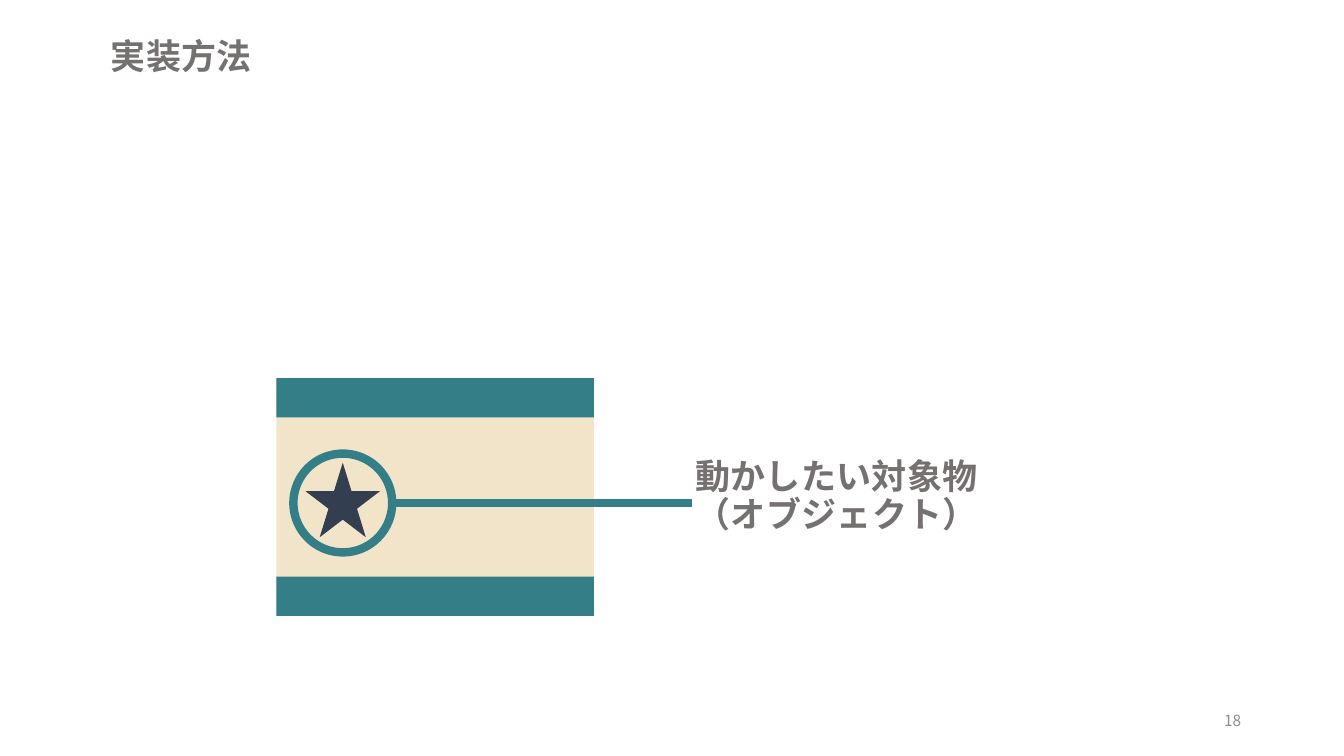
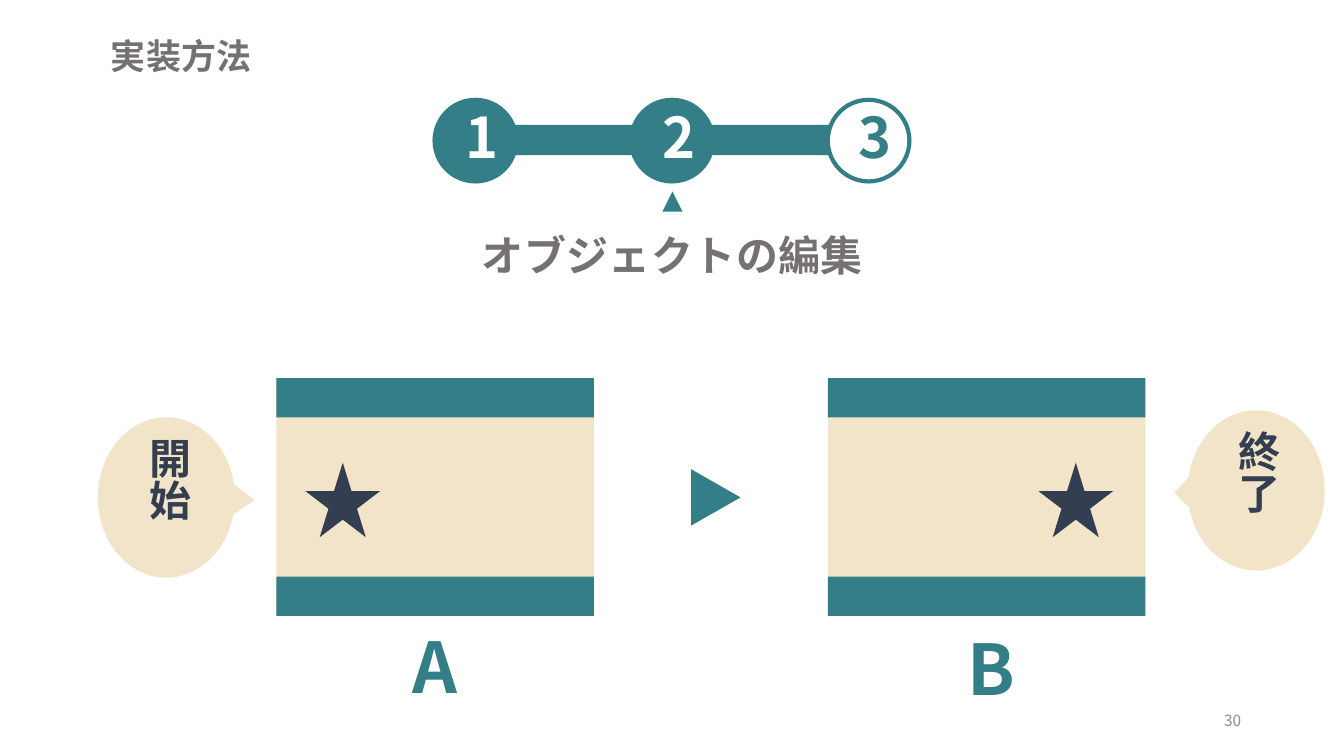
from lxml.etree import SubElement
from pptx import Presentation
from pptx.dml.color import RGBColor
from pptx.enum.shapes import MSO_CONNECTOR, MSO_SHAPE
from pptx.enum.text import MSO_ANCHOR, PP_ALIGN
from pptx.oxml.ns import qn
from pptx.util import Emu, Pt

PX = 9144  # 100 px to the inch
FONT = "Noto Sans CJK JP"
TEAL = RGBColor(0x34, 0x7F, 0x87)
SAND = RGBColor(0xF2, 0xE4, 0xC9)
NAVY = RGBColor(0x33, 0x3F, 0x50)
GREY = RGBColor(0x76, 0x71, 0x71)
PALE_GREY = RGBColor(0x8C, 0x8C, 0x8C)
WHITE = RGBColor(0xFF, 0xFF, 0xFF)

HEADING = {"alignment": PP_ALIGN.CENTER, "line_spacing": 0.9}
PAGE_NUMBER = {"alignment": PP_ALIGN.RIGHT, "space_after": Pt(6)}
FRAME_TOP = 375
FRAME_A_LEFT, FRAME_B_LEFT = 274, 821
FRAME_WIDTH, FRAME_HEIGHT, BAND_HEIGHT = 315, 236, 39
STAR_SIZE, STAR_TOP = 74, 84


def px(*lengths):
    return [Emu(length * PX) for length in lengths]


def set_all(target, values):
    for name, value in values.items():
        setattr(target, name, value)


def add_text(slide, box, text, size, color, bold=True, paragraph_format=HEADING, vertical=False):
    frame = slide.shapes.add_textbox(*px(*box)).text_frame
    set_all(frame, {"word_wrap": True, "vertical_anchor": MSO_ANCHOR.MIDDLE})
    if vertical:
        frame._txBody.bodyPr.set("vert", "eaVert")
    paragraph = frame.paragraphs[0]
    paragraph.text = text  # a newline becomes a line break
    set_all(paragraph, paragraph_format)
    for run in paragraph.runs:
        set_all(run.font, {"name": FONT, "size": Pt(size), "bold": bold})
        run.font.color.rgb = color
        properties = run._r.get_or_add_rPr()
        SubElement(properties, qn("a:ea")).set("typeface", FONT)
        if bold:
            properties.set("spc", "30")


def add_figure(slide, kind, box, fill=None, line=None, line_width=3, rotation=0):
    figure = slide.shapes.add_shape(kind, *px(*box))
    figure.shadow.inherit = False
    figure.rotation = rotation
    if fill is None:
        figure.fill.background()
    else:
        figure.fill.solid()
        figure.fill.fore_color.rgb = fill
    if line is None:
        figure.line.fill.background()
    else:
        figure.line.color.rgb = line
        figure.line.width = Pt(line_width)
    return figure


def add_base_slide(deck, number):
    slide = deck.slides.add_slide(deck.slide_layouts[6])
    add_text(slide, (941, 695, 300, 40), number, 11, PALE_GREY, False, PAGE_NUMBER)
    add_text(slide, (92, 35, 176, 46), "実装方法", 25, GREY)
    return slide


def add_star_frame(slide, left, top, star_left):
    add_figure(slide, MSO_SHAPE.RECTANGLE, (left, top, FRAME_WIDTH, FRAME_HEIGHT), SAND)
    for band_top in (top, top + FRAME_HEIGHT - BAND_HEIGHT):
        add_figure(slide, MSO_SHAPE.RECTANGLE, (left, band_top, FRAME_WIDTH, BAND_HEIGHT), TEAL)
    star = (left + star_left, top + STAR_TOP, STAR_SIZE, STAR_SIZE)
    add_figure(slide, MSO_SHAPE.STAR_5_POINT, star, NAVY)


def add_object_callout(slide, left, top):
    """Ring around the star, with a leader to its explanation."""
    ring_size, leader_end = 98, 395
    middle = top + ring_size // 2
    add_text(slide, (left + 376, top - 12, 326, 111), "動かしたい対象物\n（オブジェクト）", 25, GREY)
    add_figure(slide, MSO_SHAPE.OVAL, (left, top, ring_size, ring_size), line=TEAL, line_width=6)
    leader = slide.shapes.add_connector(
        MSO_CONNECTOR.STRAIGHT, *px(left + leader_end, middle, left + ring_size + 1, middle))
    leader.line.color.rgb = TEAL
    leader.line.width = Pt(6)
    SubElement(leader._element.spPr, qn("a:effectLst"))


def add_step_bar(slide, left, top, current, caption):
    steps, pitch, size = 3, 195, 81
    add_figure(slide, MSO_SHAPE.ROUNDED_RECTANGLE, (left + 41, top + 25, 389, 30), TEAL)
    for step in range(1, steps + 1):
        step_left = left + (step - 1) * pitch
        reached = step <= current
        add_figure(slide, MSO_SHAPE.OVAL, (step_left, top, size, size),
                   TEAL if reached else WHITE, TEAL)
        add_text(slide, (step_left + 21, top + 15, 39, 51), str(step), 40,
                 WHITE if reached else TEAL)
    # Pointer below the current step
    pointer_left = left + (current - 1) * pitch + 31
    add_figure(slide, MSO_SHAPE.ISOSCELES_TRIANGLE, (pointer_left, top + 91, 20, 20), TEAL)
    add_text(slide, (left + 1, top + 134, 470, 46), caption, 30, GREY)


def add_balloon(slide, left, top, text, tail_x):
    balloon = add_figure(slide, MSO_SHAPE.OVAL_CALLOUT, (left, top, 136, 159), SAND)
    balloon.adjustments[0] = tail_x
    balloon.adjustments[1] = 0.015
    add_text(slide, (left + 27, top + 10, 80, 131), text, 30, NAVY, vertical=True)


def build_object_slide(deck):
    slide = add_base_slide(deck, "18")
    add_star_frame(slide, FRAME_A_LEFT, FRAME_TOP, 29)
    add_object_callout(slide, 291, 450)


def build_edit_slide(deck):
    slide = add_base_slide(deck, "30")
    add_step_bar(slide, 431, 99, 2, "オブジェクトの編集")
    # Start and end states
    add_star_frame(slide, FRAME_A_LEFT, FRAME_TOP, 29)
    add_star_frame(slide, FRAME_B_LEFT, FRAME_TOP, 209)
    add_figure(slide, MSO_SHAPE.ISOSCELES_TRIANGLE, (682, 469, 56, 49), TEAL, rotation=90)
    add_balloon(slide, 97, 414, "開始", 0.642)
    add_balloon(slide, 1178, 407, "終了", -0.597)
    for letter, left, top in (("A", 392, 643), ("B", 944, 645)):
        add_text(slide, (left, top, 79, 46), letter, 50, TEAL)


def main():
    deck = Presentation()
    deck.slide_width, deck.slide_height = px(1333, 750)
    build_object_slide(deck)
    build_edit_slide(deck)
    deck.save("out.pptx")


if __name__ == "__main__":
    main()
